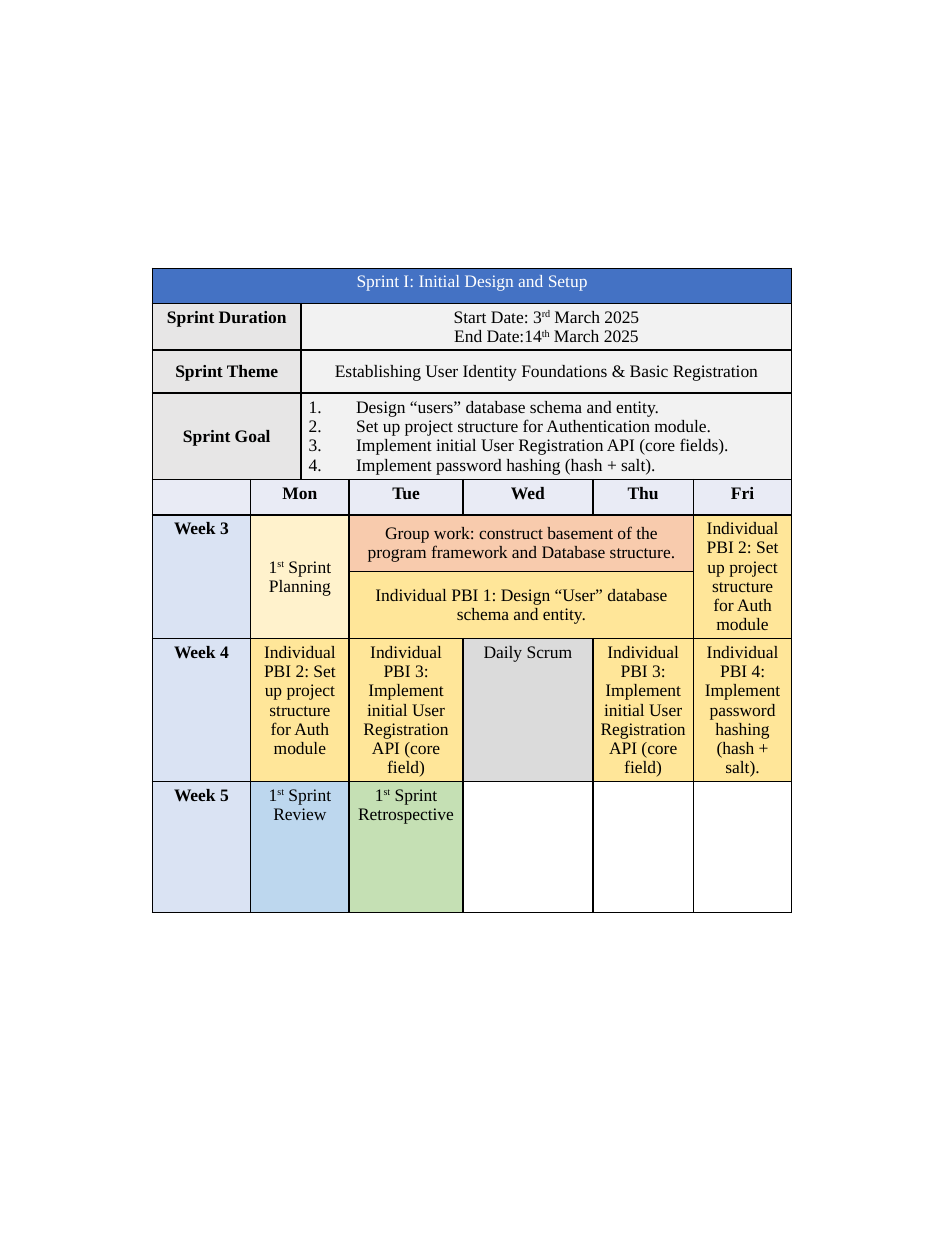
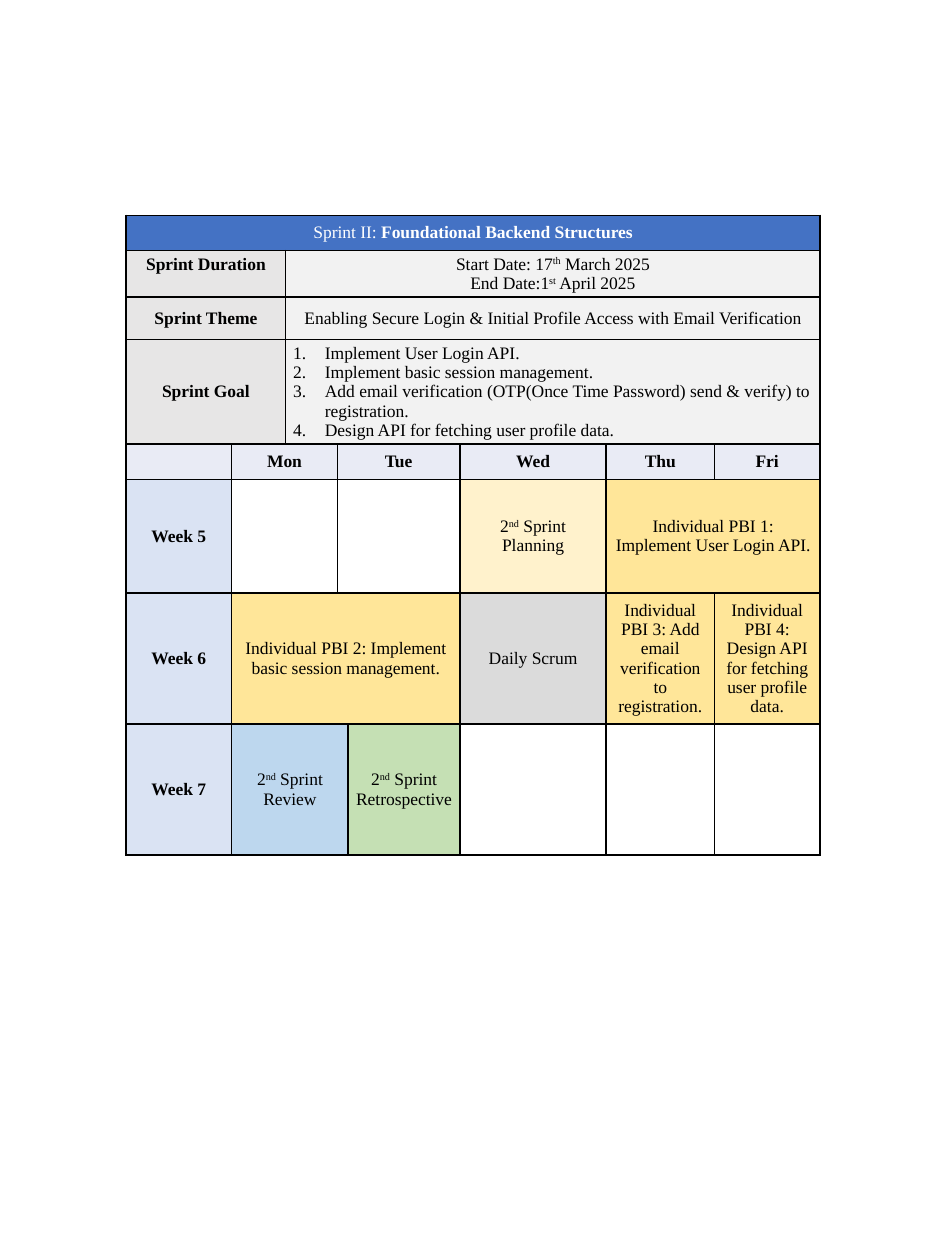
"""Build the two sprint calendar slides."""
from dataclasses import dataclass

from lxml.etree import SubElement
from pptx import Presentation
from pptx.dml.color import RGBColor
from pptx.enum.text import MSO_ANCHOR as Anchor, PP_ALIGN as Align
from pptx.oxml import parse_xml
from pptx.oxml.ns import nsdecls, qn
from pptx.util import Cm, Pt

BLACK = RGBColor(0x00, 0x00, 0x00)
WHITE = RGBColor(0xFF, 0xFF, 0xFF)
BLUE = RGBColor(0x44, 0x72, 0xC4)
GREY = RGBColor(0xE7, 0xE6, 0xE6)
PALE_GREY = RGBColor(0xF2, 0xF2, 0xF2)
MID_GREY = RGBColor(0xDB, 0xDB, 0xDB)
LAVENDER = RGBColor(0xE9, 0xEB, 0xF5)
PALE_BLUE = RGBColor(0xDA, 0xE3, 0xF3)
SKY = RGBColor(0xBD, 0xD7, 0xEE)
CREAM = RGBColor(0xFF, 0xF2, 0xCC)
YELLOW = RGBColor(0xFF, 0xE6, 0x99)
PEACH = RGBColor(0xF8, 0xCB, 0xAD)
GREEN = RGBColor(0xC5, 0xE0, 0xB4)

BOLD_FILLS = (GREY, LAVENDER, PALE_BLUE)
SUPERSCRIPT, BOLD = "^", "*"


@dataclass
class Block:
    fill: RGBColor
    text: str = ""
    columns: int = 1
    rows: int = 1
    top: bool = False
    indent: float = 0


@dataclass
class Sprint:
    left: float
    top: float
    widths: list
    heights: list
    blocks: list
    top_rows: tuple = ()


def heading_rows(title, dates, theme, goals, indent, day_spans):
    span = sum(day_spans) - 1
    facts = [("Sprint Duration", Block(PALE_GREY, dates, span)),
             ("Sprint Theme", Block(PALE_GREY, theme, span)),
             ("Sprint Goal", Block(PALE_GREY, "\n".join(goals), span, indent=indent))]
    days = zip(("Mon", "Tue", "Wed", "Thu", "Fri"), day_spans)
    return [
        [Block(BLUE, title, span + 2)],
        *([Block(GREY, label, 2), value] for label, value in facts),
        [Block(LAVENDER), *(Block(LAVENDER, day, count) for day, count in days)],
    ]


PROJECT_SETUP = "Individual PBI 2: Set up project structure for Auth module"
REGISTRATION = "Individual PBI 3: Implement initial User Registration API (core field)"

SPRINT_ONE = Sprint(
    left=3.07, top=5.41,
    widths=[1.98, 1.02, 0.97, 2.29, 2.62, 2.03, 1.98],
    heights=[0.71, 0.86, 0.86, 1.75, 0.71, 1.14, 1.14, 2.64, 2.64],
    top_rows=(0, 1, 4, 7, 8),
    blocks=heading_rows(
        "Sprint I: Initial Design and Setup",
        "Start Date: 3^rd^ March 2025\nEnd Date:14^th^ March 2025",
        "Establishing User Identity Foundations & Basic Registration",
        ["Design “users” database schema and entity.",
         "Set up project structure for Authentication module.",
         "Implement initial User Registration API (core fields).",
         "Implement password hashing (hash + salt)."],
        0.96, (2, 1, 1, 1, 1)) + [
        [Block(PALE_BLUE, "Week 3", rows=2, top=True),
         Block(CREAM, "1^st^ Sprint Planning", 2, 2),
         Block(PEACH, "Group work: construct basement of the program framework "
                      "and Database structure.", 3),
         Block(YELLOW, PROJECT_SETUP, rows=2)],
        [Block(YELLOW, "Individual PBI 1: Design “User” database schema and entity.", 3)],
        [Block(PALE_BLUE, "Week 4"),
         Block(YELLOW, PROJECT_SETUP, 2),
         Block(YELLOW, REGISTRATION),
         Block(MID_GREY, "Daily Scrum"),
         Block(YELLOW, REGISTRATION),
         Block(YELLOW, "Individual PBI 4: Implement password hashing (hash + salt).")],
        [Block(PALE_BLUE, "Week 5"),
         Block(SKY, "1^st^ Sprint Review", 2),
         Block(GREEN, "1^st^ Sprint Retrospective"),
         *[Block(WHITE)] * 3],
    ])

SPRINT_TWO = Sprint(
    left=2.54, top=4.34,
    widths=[2.13, 1.09, 1.04, 0.22, 2.25, 2.95, 2.18, 2.13],
    heights=[0.71, 0.86, 0.86, 1.93, 0.71, 2.29, 2.64, 2.64],
    top_rows=(1,),
    blocks=heading_rows(
        "Sprint II: *Foundational Backend Structures*",
        "Start Date: 17^th^ March 2025\nEnd Date:1^st^ April 2025",
        "Enabling Secure Login & Initial Profile Access with Email Verification",
        ["Implement User Login API.",
         "Implement basic session management.",
         "Add email verification (OTP(Once Time Password) send & verify) to registration.",
         "Design API for fetching user profile data."],
        0.64, (2, 2, 1, 1, 1)) + [
        [Block(PALE_BLUE, "Week 5"),
         *[Block(WHITE, columns=2)] * 2,
         Block(CREAM, "2^nd^ Sprint Planning"),
         Block(YELLOW, "Individual PBI 1: Implement User Login API.", 2)],
        [Block(PALE_BLUE, "Week 6"),
         Block(YELLOW, "Individual PBI 2: Implement basic session management.", 4),
         Block(MID_GREY, "Daily Scrum"),
         Block(YELLOW, "Individual PBI 3: Add email verification to registration."),
         Block(YELLOW, "Individual PBI 4: Design API for fetching user profile data.")],
        [Block(PALE_BLUE, "Week 7"),
         Block(SKY, "2^nd^ Sprint Review", 3),
         Block(GREEN, "2^nd^ Sprint Retrospective"),
         *[Block(WHITE)] * 3],
    ])


class SprintDeck:
    font = {"name": "Times New Roman", "size": Pt(10)}
    cell_format = {"margin_left": Cm(0.15), "margin_right": Cm(0.15),
                   "margin_top": Cm(0.08), "margin_bottom": Cm(0.08)}
    table_format = {"first_row": False, "horz_banding": False}

    def __init__(self):
        self.deck = Presentation()
        self.deck.slide_width, self.deck.slide_height = Cm(19.05), Cm(25.4)
        self.page = None

    def apply(self, target, values):
        for name, value in values.items():
            setattr(target, name, value)

    def add_page(self):
        self.page = self.deck.slides.add_slide(self.deck.slide_layouts[6])

    def add_calendar(self, sprint):
        frame = self.page.shapes.add_table(
            len(sprint.heights), len(sprint.widths), Cm(sprint.left), Cm(sprint.top),
            Cm(sum(sprint.widths)), Cm(sum(sprint.heights)))
        table = frame.table
        self.apply(table, self.table_format)
        for column, width in zip(table.columns, sprint.widths):
            column.width = Cm(width)
        for row, height in zip(table.rows, sprint.heights):
            row.height = Cm(height)
        for row, blocks in enumerate(sprint.blocks):
            column = 0
            for block in blocks:
                while table.cell(row, column).is_spanned:
                    column += 1
                top = block.top or row in sprint.top_rows
                self.add_block(table, row, column, block, top)
                column += block.columns

    def add_block(self, table, row, column, block, top):
        origin = table.cell(row, column)
        last_row, last_column = row + block.rows - 1, column + block.columns - 1
        if block.rows * block.columns > 1:
            origin.merge(table.cell(last_row, last_column))
        for i in range(row, last_row + 1):
            for j in range(column, last_column + 1):
                self.format_cell(table.cell(i, j), block.fill)
        origin.vertical_anchor = Anchor.TOP if top else Anchor.MIDDLE
        if block.text:
            self.add_text(origin.text_frame, block)

    def format_cell(self, cell, fill):
        self.apply(cell, self.cell_format)
        cell.fill.solid()
        cell.fill.fore_color.rgb = fill
        properties = cell._tc.get_or_add_tcPr()
        for index, side in enumerate("LRTB"):
            properties.insert(index, parse_xml(
                f'<a:ln{side} {nsdecls("a")} w="{Pt(1)}"><a:solidFill>'
                f'<a:srgbClr val="{BLACK}"/></a:solidFill></a:ln{side}>'))
        end = SubElement(cell.text_frame.paragraphs[0]._p, qn("a:endParaRPr"))
        end.set("sz", str(int(self.font["size"].pt * 100)))

    def add_text(self, text_frame, block):
        for index, line in enumerate(block.text.split("\n")):
            para = text_frame.add_paragraph() if index else text_frame.paragraphs[0]
            para.alignment = Align.LEFT if block.indent else Align.CENTER
            if block.indent:
                self.number(para, block.indent)
            for i, stretch in enumerate(line.split(BOLD)):
                for j, text in enumerate(stretch.split(SUPERSCRIPT)):
                    if text:
                        bold = block.fill in BOLD_FILLS or i % 2 == 1
                        self.add_span(para, text, block.fill, bold, j % 2 == 1)

    def add_span(self, para, text, fill, bold, raised):
        span = para.add_run()
        span.text = text
        self.apply(span.font, {**self.font, "bold": bold})
        span.font.color.rgb = WHITE if fill == BLUE else BLACK
        if raised:
            span._r.get_or_add_rPr().set("baseline", "30000")

    def number(self, para, indent):
        properties = para._p.get_or_add_pPr()
        properties.set("marL", str(Cm(indent)))
        properties.set("indent", str(-Cm(indent)))
        SubElement(properties, qn("a:buAutoNum")).set("type", "arabicPeriod")


def main():
    sprint_deck = SprintDeck()
    for sprint in (SPRINT_ONE, SPRINT_TWO):
        sprint_deck.add_page()
        sprint_deck.add_calendar(sprint)
    sprint_deck.deck.save("out.pptx")


if __name__ == "__main__":
    main()
